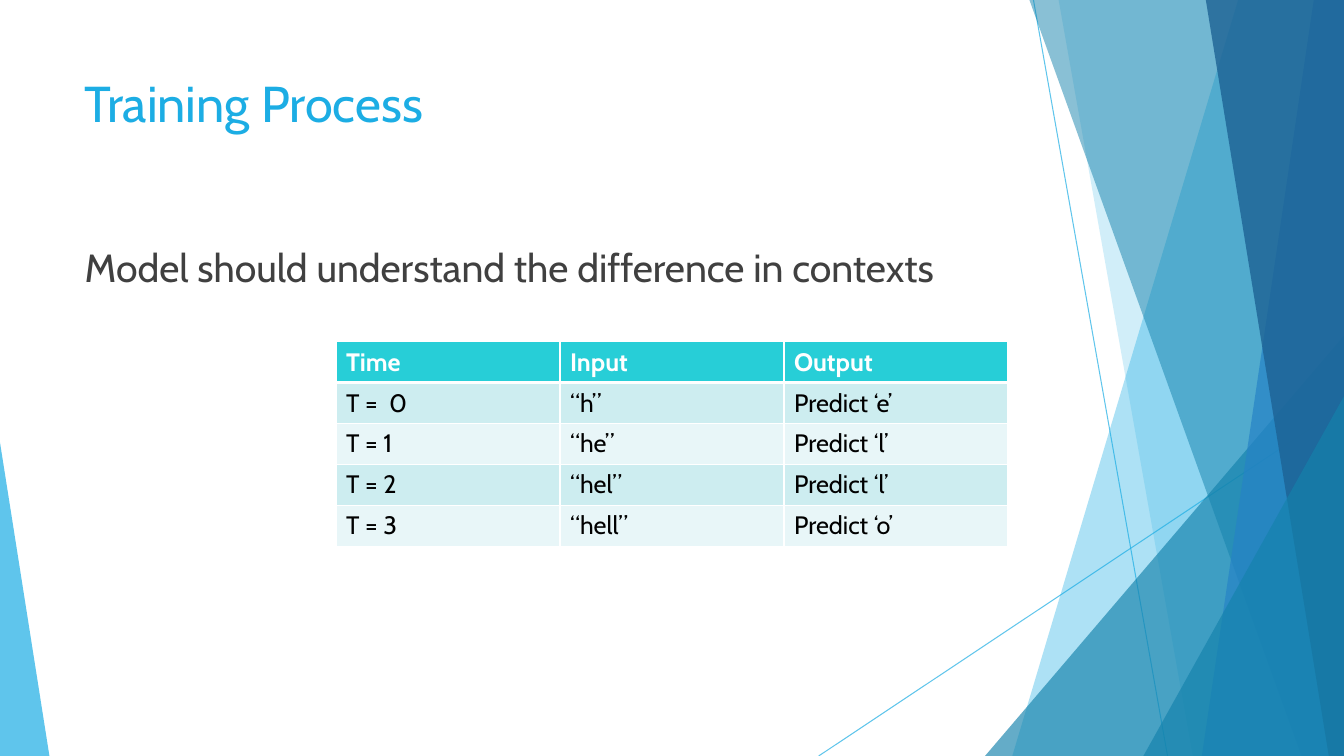
"""Build the Training Process slide with its faceted border and prediction table."""
from lxml import etree
from pptx import Presentation
from pptx.dml.color import RGBColor
from pptx.enum.shapes import MSO_CONNECTOR, MSO_SHAPE
from pptx.enum.text import MSO_ANCHOR, MSO_AUTO_SIZE, PP_ALIGN
from pptx.oxml.ns import qn
from pptx.util import Inches, Pt

STRAIGHT = MSO_CONNECTOR.STRAIGHT
TRIANGLE = MSO_SHAPE.ISOSCELES_TRIANGLE
TOP, LEFT, FIXED = MSO_ANCHOR.TOP, PP_ALIGN.LEFT, MSO_AUTO_SIZE.NONE
FONT = "Cabin"
W, H = 13.33, 7.5


def paint(fill, color, alpha=100):
    fill.solid()
    fill.fore_color.rgb = RGBColor.from_string(color)
    if alpha < 100:
        clr = fill._xPr.find(".//" + qn("a:srgbClr"))
        etree.SubElement(clr, qn("a:alpha")).set("val", str(alpha * 1000))


def style(p, size, color, bold=False):
    p.alignment = LEFT
    for r in p.runs:
        r.font.name, r.font.size, r.font.bold = FONT, Pt(size), bold
        paint(r.font.fill, color)


prs = Presentation()
prs.slide_width, prs.slide_height = Inches(W), Inches(H)
slide = prs.slides.add_slide(prs.slide_layouts[1])
shapes = slide.shapes

for x1, y1, x2 in [(10.25, 0, 11.58), (W, 4.03, 8.12)]:
    line = shapes.add_connector(STRAIGHT, Inches(x1), Inches(y1), Inches(x2), Inches(H))
    line.line.width = Pt(0.75)
    paint(line.line.fill, "1CADE4", 70)
    etree.SubElement(line._element.spPr, qn("a:effectLst"))

# "band": top x, bottom x; "peak": left, top, width, apex
facets = [
    ("band", (12.28, 10.04), "1CADE4", 36),
    ("band", (10.5, 11.83), "1CADE4", 20),
    ("peak", (9.77, 3.33, 3.56, 1), "1482AC", 66),
    ("band", (10.21, 12.91), "1482AC", 50),
    ("band", (13.03, 11.92), "2683C6", 70),
    ("band", (11.96, 13.18), "1D6294", 80),
    ("peak", (11.34, 3.93, 1.99, 1), "1482AC", 66),
    ("peak", (0, 4.39, 0.49, 0), "1CADE4", 70),
]
for kind, dims, color, alpha in facets:
    if kind == "band":
        x_top, x_bottom = dims
        outline = shapes.build_freeform(Inches(x_top), 0)
        corners = [(W, 0), (W, H), (x_bottom, H)]
        outline.add_line_segments([(Inches(x), Inches(y)) for x, y in corners])
        sp = outline.convert_to_shape()
    else:
        left, top, width, apex = dims
        sp = shapes.add_shape(TRIANGLE, Inches(left), Inches(top), Inches(width), Inches(H - top))
        sp.adjustments[0] = apex
    paint(sp.fill, color, alpha)
    sp.line.fill.background()
    sp.shadow.inherit = False

texts = [
    (shapes.title, 0.67, 1.44, "Training Process", 36, "1CADE4"),
    (slide.placeholders[1], 2.36, 4.24,
     "Model should understand the difference in contexts", 28, "404040"),
]
for sp, top, height, text, size, color in texts:
    sp.left, sp.top, sp.width, sp.height = (Inches(v) for v in (0.74, top, 9.4, height))
    tf = sp.text_frame
    tf.text = text
    tf.word_wrap, tf.auto_size, tf.vertical_anchor = True, FIXED, TOP
    p = tf.paragraphs[0]
    pPr = p._p.get_or_add_pPr()
    pPr.set("marL", "0")
    pPr.set("indent", "0")
    etree.SubElement(pPr, qn("a:buNone"))
    p.space_before = Pt(0)
    style(p, size, color)

rows = [
    ("Time", "Input", "Output"),
    ("T =  0", "“h”", "Predict ‘e’"),
    ("T = 1", "“he”", "Predict ‘l’"),
    ("T = 2", "“hel”", "Predict ‘l’"),
    ("T = 3", "“hell”", "Predict ‘o’"),
]
table = shapes.add_table(len(rows), 3, Inches(W / 4), Inches(3.39),
                         Inches(W / 2), Inches(2.02)).table
for i, row in enumerate(rows):
    for j, text in enumerate(row):
        cell = table.cell(i, j)
        cell.text = text
        tcPr = cell._tc.get_or_add_tcPr()
        for side in "LRTB":
            thick = (i, side) in [(0, "B"), (1, "T")]
            ln = etree.SubElement(tcPr, qn("a:ln" + side), w=str(Pt(3 if thick else 1)))
            solid = etree.SubElement(ln, qn("a:solidFill"))
            etree.SubElement(solid, qn("a:srgbClr"), val="FFFFFF")
        paint(cell.fill, "27CED7" if i == 0 else ("E8F6F8", "CDEDF0")[i % 2])
        style(cell.text_frame.paragraphs[0], 18, "000000" if i else "FFFFFF", i == 0)

prs.save("out.pptx")
